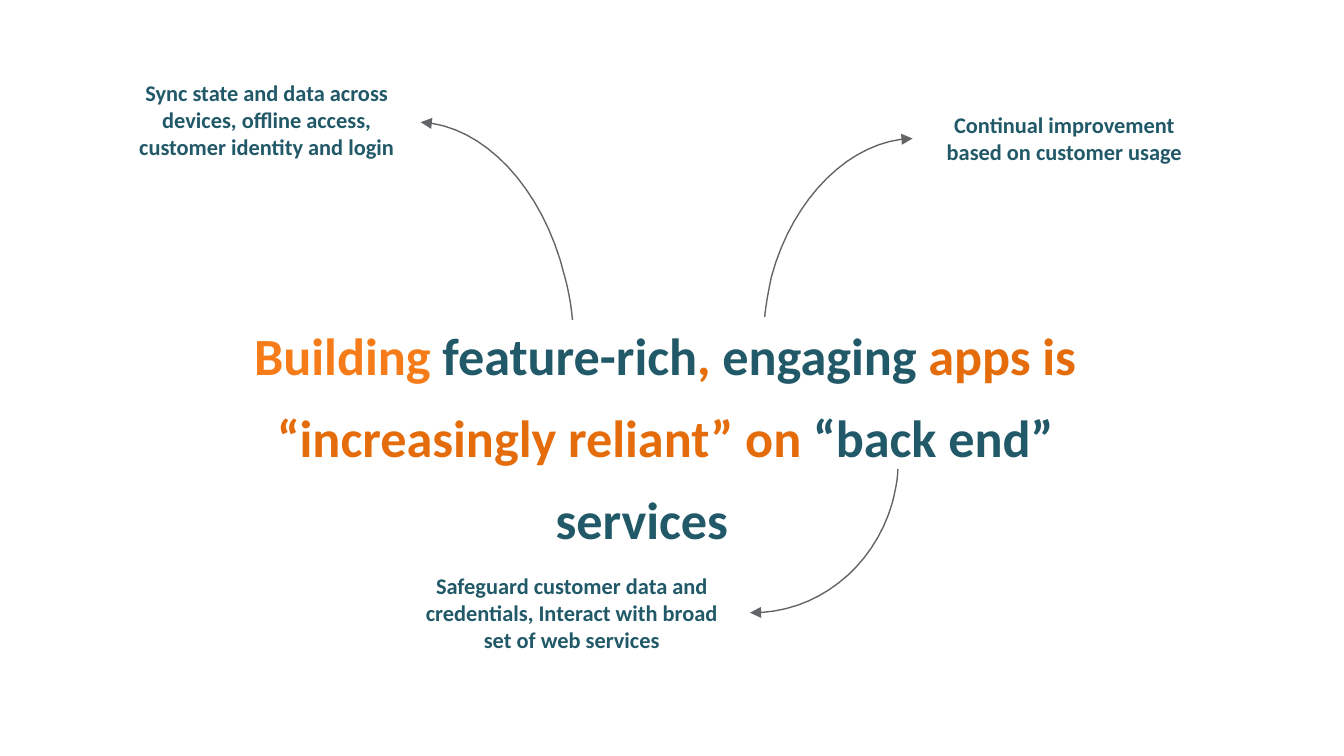
from dataclasses import dataclass

import pptx
import pptx.dml.color
import pptx.enum.text
import pptx.oxml
import pptx.oxml.ns
import pptx.presentation
import pptx.slide
import pptx.text.text
import pptx.util

Pt = pptx.util.Pt
Point = tuple[float, float]

FONT = "Calibri"
TEAL = "215968"
ORANGE = "E46C0A"
BRIGHT_ORANGE = "F57C18"
GREY = "636466"
STEPS_PER_CURVE = 16


@dataclass(frozen=True)
class Callout:
    text: str
    left: float
    top: float
    width: float
    height: float
    curve: tuple[Point, ...]  # arrow tip first, then three points per cubic


HEADLINE = (
    (
        ("Building ", BRIGHT_ORANGE),
        ("feature-rich", TEAL),
        (", ", ORANGE),
        ("engaging ", TEAL),
        ("apps is “increasingly reliant” on ", ORANGE),
        ("“back end”", TEAL),
    ),
    (("services", TEAL),),
)

CALLOUTS = (
    Callout(
        "Sync state and data across devices, offline access, customer identity and login",
        65.5, 38.2, 154.8, 51.8,
        ((225.4, 65.5), (259.2, 67), (290.9, 100.8), (302.4, 147.6),
         (304.6, 155.5), (306, 163.4), (306.7, 171.4)),
    ),
    Callout(
        "Continual improvement based on customer usage",
        496.1, 55.4, 148.3, 37.4,
        ((488.9, 74.2), (455.8, 74.9), (424.8, 105.8), (413.3, 148.3),
         (411.8, 155.5), (410.4, 162.7), (409.7, 169.9)),
    ),
    Callout(
        "Safeguard customer data and credentials, Interact with broad set of web services",
        216, 302.4, 180.7, 51.8,
        ((401.8, 328.3), (437, 329), (468, 304.6), (478.1, 269.3),
         (479.5, 263.5), (481, 257), (481, 251.3)),
    ),
)


def color(value: str) -> pptx.dml.color.RGBColor:
    return pptx.dml.color.RGBColor.from_string(value)


def format_paragraph(paragraph: pptx.text.text._Paragraph, size: float) -> None:
    paragraph.alignment = pptx.enum.text.PP_ALIGN.CENTER
    paragraph.font.name = FONT
    paragraph.font.size = Pt(size)
    paragraph.font.bold = True


def add_headline(slide: pptx.slide.Slide) -> None:
    shape = slide.shapes.add_textbox(Pt(102.2), Pt(159.8), Pt(508.3), Pt(72.7))
    frame = shape.text_frame
    frame.word_wrap = True
    for index, pieces in enumerate(HEADLINE):
        paragraph = frame.add_paragraph() if index else frame.paragraphs[0]
        format_paragraph(paragraph, 28)
        paragraph.line_spacing = 1.3
        for text, text_color in pieces:
            run = paragraph.add_run()
            run.text = text
            run.font.color.rgb = color(text_color)
    # The last word sits slightly left of the centre line.
    paragraph._p.get_or_add_pPr().set("marR", str(Pt(25)))


def add_label(slide: pptx.slide.Slide, callout: Callout) -> None:
    shape = slide.shapes.add_textbox(
        Pt(callout.left), Pt(callout.top), Pt(callout.width), Pt(callout.height)
    )
    frame = shape.text_frame
    frame.word_wrap = True
    frame.auto_size = pptx.enum.text.MSO_AUTO_SIZE.SHAPE_TO_FIT_TEXT
    frame.vertical_anchor = pptx.enum.text.MSO_ANCHOR.MIDDLE
    frame.margin_left = frame.margin_right = Pt(4.5)
    frame.margin_top = frame.margin_bottom = Pt(4.5)
    paragraph = frame.paragraphs[0]
    paragraph.text = callout.text
    format_paragraph(paragraph, 12)
    paragraph.font.color.rgb = color(TEAL)


def cubic_point(controls: tuple[Point, ...], t: float) -> Point:
    weights = ((1 - t) ** 3, 3 * t * (1 - t) ** 2, 3 * t**2 * (1 - t), t**3)
    x, y = (sum(w * p[axis] for w, p in zip(weights, controls)) for axis in (0, 1))
    return Pt(x), Pt(y)


def add_curved_arrow(slide: pptx.slide.Slide, curve: tuple[Point, ...]) -> None:
    points = [
        cubic_point(curve[first:first + 4], step / STEPS_PER_CURVE)
        for first in range(0, len(curve) - 1, 3)
        for step in range(1, STEPS_PER_CURVE + 1)
    ]
    tip_x, tip_y = curve[0]
    builder = slide.shapes.build_freeform(Pt(tip_x), Pt(tip_y))
    builder.add_line_segments(points, close=False)
    shape = builder.convert_to_shape()
    shape.shadow.inherit = False
    shape.fill.background()
    shape.line.color.rgb = color(GREY)
    shape.line.width = Pt(0.75)
    head = pptx.oxml.parse_xml(
        f'<a:headEnd {pptx.oxml.ns.nsdecls("a")} type="triangle"/>'
    )
    shape.line._get_or_add_ln().append(head)


def main() -> None:
    presentation = pptx.Presentation()
    presentation.slide_width = Pt(720)
    presentation.slide_height = Pt(405)
    slide = presentation.slides.add_slide(presentation.slide_layouts[6])
    add_headline(slide)
    for callout in CALLOUTS:
        add_label(slide, callout)
        add_curved_arrow(slide, callout.curve)
    presentation.save("out.pptx")


if __name__ == "__main__":
    main()
